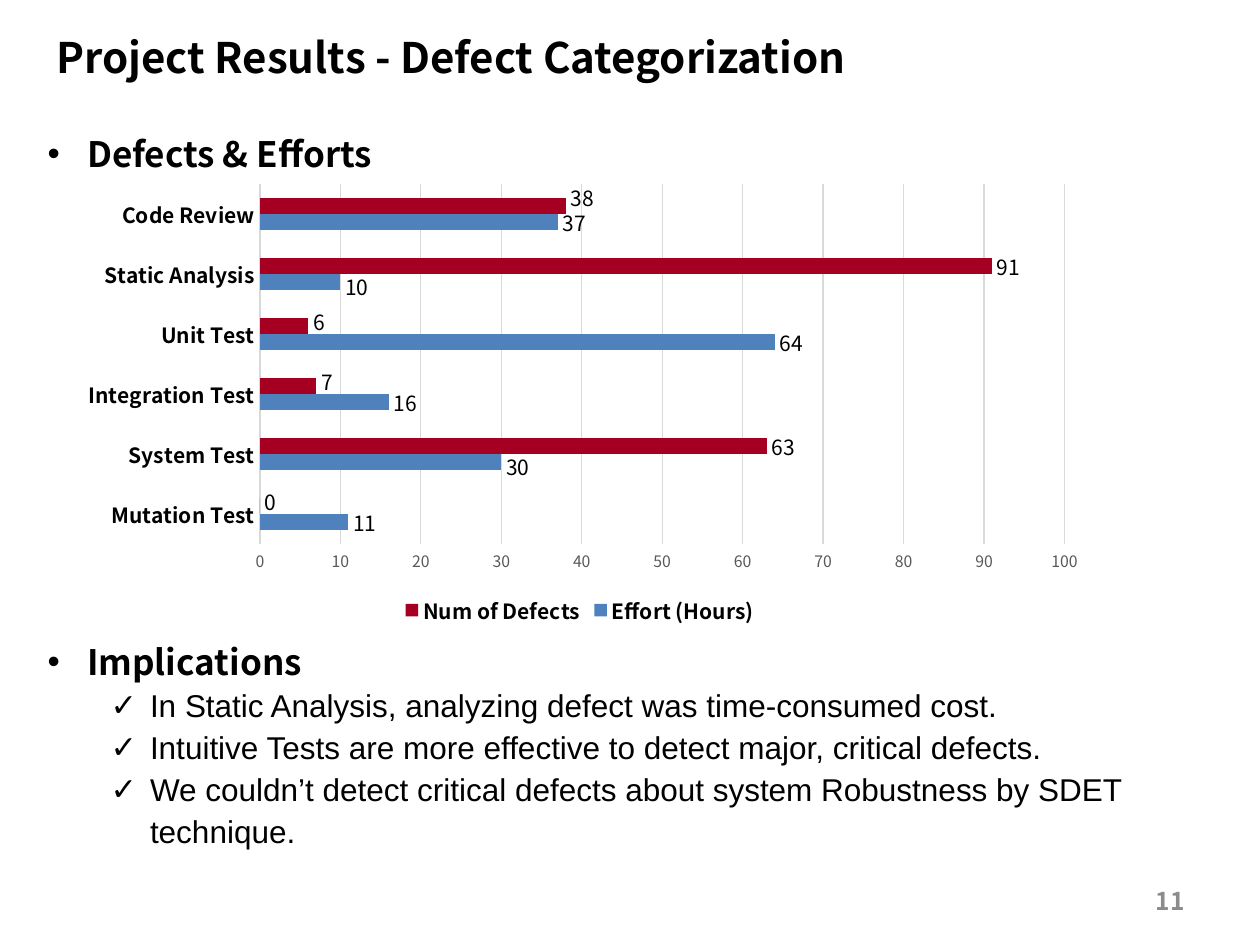
import dataclasses
import typing

import pptx
import pptx.chart.data
import pptx.dml.color
import pptx.enum.chart
import pptx.enum.text
import pptx.oxml
import pptx.oxml.ns
import pptx.util

Pt = pptx.util.Pt
SANS = "Noto Sans CJK KR"
HUES = {"ink": "000000", "page": "8C8C8C", "axis": "595959", "grid": "D9D9D9",
        "red": "A50021", "blue": "4F81BD"}


@dataclasses.dataclass(frozen=True)
class Style:
    size: float
    face: str = SANS
    hue: str = "ink"
    bold: bool = False


@dataclasses.dataclass(frozen=True)
class Box:
    left: float
    top: float
    width: float
    height: float

    def frame(self) -> list:
        return [Pt(v) for v in (self.left, self.top, self.width, self.height)]


@dataclasses.dataclass(frozen=True)
class Item:
    text: str
    style: Style
    level: int
    mark: str
    indent: float
    space: typing.Any


@dataclasses.dataclass(frozen=True)
class Series:
    name: str
    hue: str
    values: tuple
    shifts: dict


HEAD = Style(20, bold=True)
NOTE = Style(18, face="Arial")
LABEL = Style(12)
STRONG = Style(12, bold=True)


def head(text: str) -> Item:
    return Item(text, HEAD, 0, "•", 22.5, 1.3)


def note(text: str) -> Item:
    return Item(text, NOTE, 1, "✓", 58.5, Pt(24))


LISTS = [
    (Box(20, 65, 669, 35), [head("Defects & Efforts")]),
    (Box(20, 355, 669, 160), [
        head("Implications"),
        note("In Static Analysis, analyzing defect was time-consumed cost."),
        note("Intuitive Tests are more effective to detect major, critical defects."),
        note("We couldn’t detect critical defects about system Robustness by SDET technique."),
    ]),
]
STAGES = ["Mutation Test", "System Test", "Integration Test", "Unit Test",
          "Static Analysis", "Code Review"]
SERIES = [
    Series("Effort (Hours)", "blue", (11, 30, 16, 64, 10, 37),
           {1: (0, 0.01), 4: (0, 0.01)}),
    Series("Num of Defects", "red", (0, 63, 7, 6, 91, 38),
           {0: (0, -0.01), 2: (0, -0.01), 3: (0, -0.01), 5: (0, -0.02)}),
]


def color(name: str) -> pptx.dml.color.RGBColor:
    return pptx.dml.color.RGBColor.from_string(HUES[name])


def dress(font: typing.Any, style: Style) -> None:
    font.size = Pt(style.size)
    font.name = style.face
    font.bold = style.bold
    font.color.rgb = color(style.hue)


def write(para: typing.Any, text: str, style: Style) -> None:
    run = para.add_run()
    run.text = text
    dress(run.font, style)


def place(shape: typing.Any, box: Box) -> None:
    shape.left, shape.top, shape.width, shape.height = box.frame()
    shape.text_frame.word_wrap = True
    shape.text_frame.vertical_anchor = pptx.enum.text.MSO_ANCHOR.TOP
    shape.text_frame.auto_size = pptx.enum.text.MSO_AUTO_SIZE.SHAPE_TO_FIT_TEXT


def element(xml: str) -> typing.Any:
    start, rest = xml.split(">", 1)
    close = "/" if start.endswith("/") else ""
    space = pptx.oxml.ns.nsdecls("a", "c")
    return pptx.oxml.parse_xml(f"{start.rstrip('/')} {space}{close}>{rest}")


def fill_list(shape: typing.Any, box: Box, items: list) -> None:
    place(shape, box)
    frame = shape.text_frame
    for index, item in enumerate(items):
        para = frame.add_paragraph() if index else frame.paragraphs[0]
        para.level = item.level
        props = para._p.get_or_add_pPr()
        props.set("marL", str(Pt(item.indent)))
        props.set("indent", str(Pt(-22.5)))
        props.append(element('<a:buFont typeface="Arial"/>'))
        props.append(element(f'<a:buChar char="{item.mark}"/>'))
        para.line_spacing = item.space
        para.space_before = Pt(0)
        write(para, item.text, item.style)


def layout(**parts: typing.Any) -> typing.Any:
    body = "".join(f'<c:{key} val="{val}"/>' for key, val in parts.items())
    return element(f"<c:layout><c:manualLayout>{body}</c:manualLayout></c:layout>")


def style_series(plot: typing.Any, index: int, data: Series) -> None:
    place_out = pptx.enum.chart.XL_LABEL_POSITION.OUTSIDE_END
    series = plot.series[index]
    series.invert_if_negative = False
    series.format.fill.solid()
    series.format.fill.fore_color.rgb = color(data.hue)
    labels = series.data_labels
    labels.show_value = True
    labels.position = place_out
    dress(labels.font, LABEL)
    for point, (x, y) in data.shifts.items():
        label = series.points[point].data_label
        dress(label.font, LABEL)
        label.position = place_out
        node = labels._element.find(f"c:dLbl[c:idx='{point}']", labels._element.nsmap)
        for entry in labels._element.findall(pptx.oxml.ns.qn("c:dLbl")):
            if entry.find(pptx.oxml.ns.qn("c:idx")).get("val") == str(point):
                node = entry
        node.insert(1, layout(x=x, y=y))


def rule(line: typing.Any) -> None:
    line.color.rgb = color("grid")
    line.width = Pt(0.75)


def draw_chart(slide: typing.Any, box: Box) -> None:
    data = pptx.chart.data.CategoryChartData()
    data.categories = STAGES
    for series in SERIES:
        data.add_series(series.name, series.values)
    kind = pptx.enum.chart.XL_CHART_TYPE.BAR_CLUSTERED
    chart = slide.shapes.add_chart(kind, *box.frame(), data).chart
    dress(chart.font, Style(10))
    chart.has_title = False
    chart.has_legend = True
    chart.legend.position = pptx.enum.chart.XL_LEGEND_POSITION.BOTTOM
    chart.legend.include_in_layout = False
    dress(chart.legend.font, STRONG)
    plot = chart.plots[0]
    plot.gap_width = 182
    plot.vary_by_categories = False
    for index, series in enumerate(SERIES):
        style_series(plot, index, series)

    stages, scale = chart.category_axis, chart.value_axis
    for axis, style in ((stages, STRONG), (scale, Style(9, hue="axis"))):
        axis.major_tick_mark = pptx.enum.chart.XL_TICK_MARK.NONE
        axis.minor_tick_mark = pptx.enum.chart.XL_TICK_MARK.NONE
        dress(axis.tick_labels.font, style)
    rule(stages.format.line)
    scale.format.line.fill.background()
    scale.minimum_scale, scale.maximum_scale, scale.major_unit = 0, 100, 10
    scale.has_major_gridlines = True
    rule(scale.major_gridlines.format.line)

    area = chart._chartSpace.chart.plotArea
    for old in area.findall(pptx.oxml.ns.qn("c:layout")):
        area.remove(old)
    area.insert(0, layout(layoutTarget="inner", xMode="edge", yMode="edge",
                          x=0.19, y=0.02, w=0.78, h=0.79))


def main() -> None:
    deck = pptx.Presentation()
    deck.slide_width, deck.slide_height = Pt(720), Pt(540)
    slide = deck.slides.add_slide(deck.slide_layouts[3])
    title, *bodies = slide.placeholders
    place(title, Box(25, 14.5, 510.5, 36))
    para = title.text_frame.paragraphs[0]
    para.alignment = pptx.enum.text.PP_ALIGN.LEFT
    write(para, "Project Results - Defect Categorization", Style(24, bold=True))
    for body, (box, items) in zip(bodies, LISTS):
        fill_list(body, box, items)
    draw_chart(slide, Box(36.5, 100, 589.5, 260.5))

    page = slide.shapes.add_textbox(*Box(516, 500.5, 168, 28.5).frame())
    page.text_frame.vertical_anchor = pptx.enum.text.MSO_ANCHOR.MIDDLE
    page.text_frame.word_wrap = True
    para = page.text_frame.paragraphs[0]
    para.alignment = pptx.enum.text.PP_ALIGN.RIGHT
    write(para, "11", Style(14, hue="page", bold=True))
    deck.save("out.pptx")


if __name__ == "__main__":
    main()
